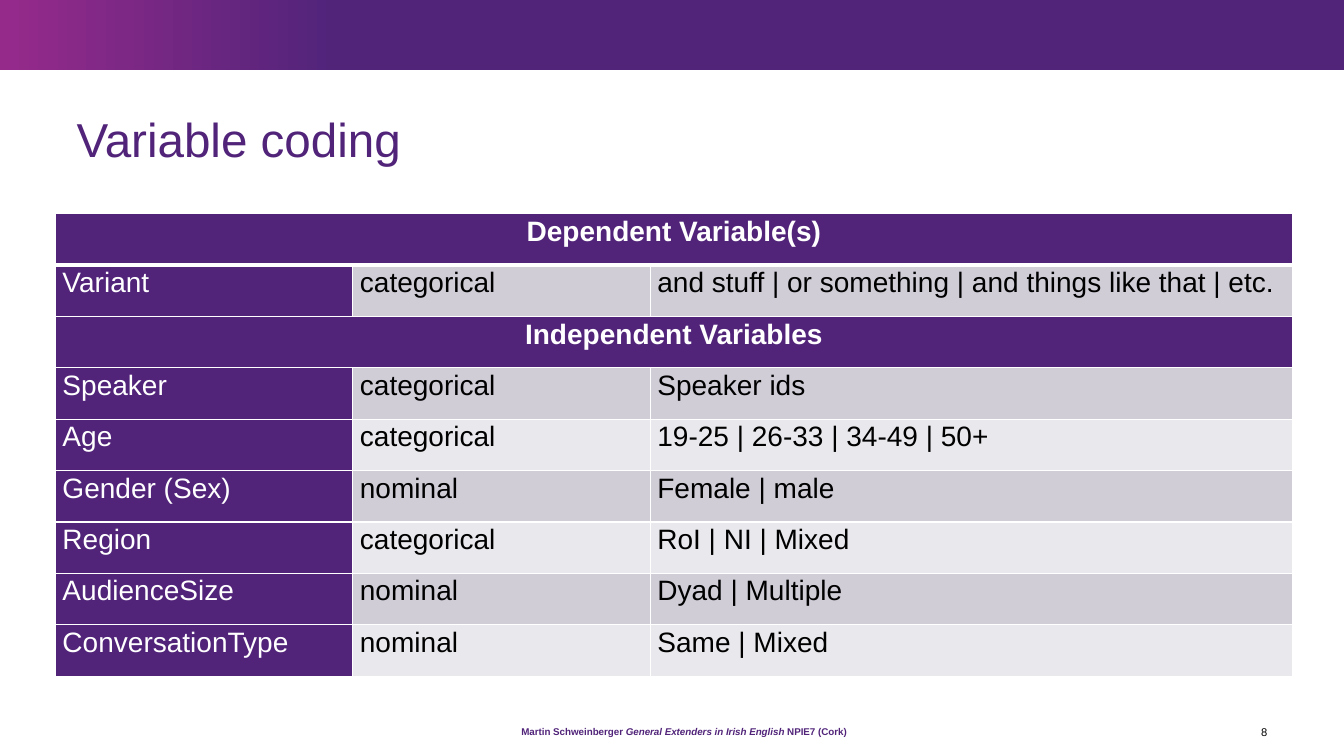
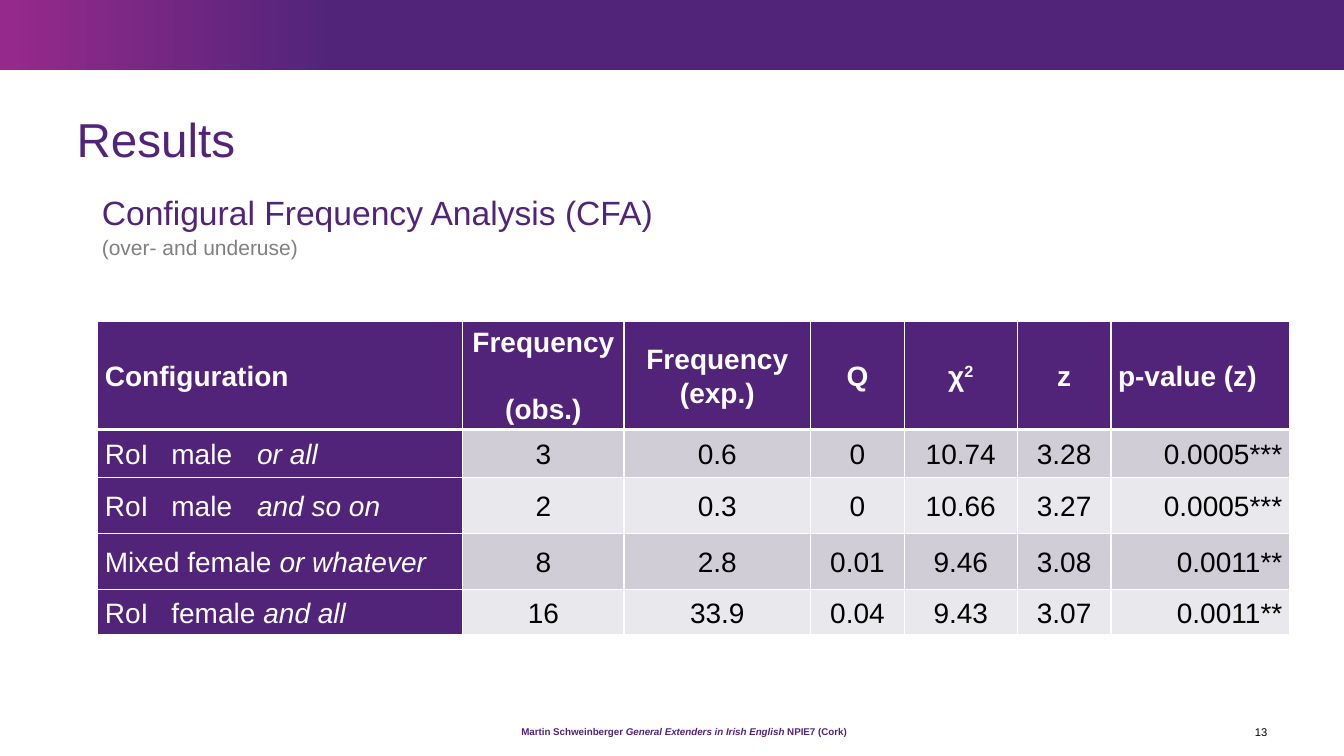
from copy import deepcopy
from dataclasses import dataclass

from lxml import etree
from pptx import Presentation
from pptx.dml.color import RGBColor
from pptx.enum.shapes import MSO_SHAPE
from pptx.enum.text import MSO_ANCHOR, PP_ALIGN
from pptx.oxml.ns import qn
from pptx.util import Inches, Pt

RECTANGLE = MSO_SHAPE.RECTANGLE
TOP, MIDDLE = MSO_ANCHOR.TOP, MSO_ANCHOR.MIDDLE
LEFT, CENTER, RIGHT = PP_ALIGN.LEFT, PP_ALIGN.CENTER, PP_ALIGN.RIGHT


@dataclass(frozen=True)
class Theme:
    font: str = "Arial"
    purple: str = "51247A"
    magenta: str = "962A8B"
    gray: str = "808080"
    black: str = "000000"
    white: str = "FFFFFF"
    bands: tuple = ("E9E8EC", "D0CDD7")
    title: int = 34
    subtitle: int = 24
    table: int = 20
    remark: int = 15
    number: int = 8
    footer: int = 7
    thin: int = 1
    thick: int = 3


THEME = Theme()
SLIDE_WIDTH, SLIDE_HEIGHT = 13.33, 7.5
CELL_MARGIN = 0.07

FOOTER = [
    ("Martin Schweinberger ", {}),
    ("General Extenders in Irish English ", {"italic": True}),
    ("NPIE7 (Cork)", {}),
]

CODING = {
    "title": "Variable coding",
    "number": "8",
    "place": (0.55, 2.12),
    "columns": [2.95, 2.95, 6.37],
    "heights": [0.51] * 9,
    "aligns": [LEFT] * 3,
    "header_aligns": [CENTER] * 3,
    "anchor": TOP,
    "tabs": [],
    "rows": [
        ["Dependent Variable(s)"],
        ["Variant", "categorical", "and stuff | or something | and things like that | etc."],
        ["Independent Variables"],
        ["Speaker", "categorical", "Speaker ids"],
        ["Age", "categorical", "19-25 | 26-33 | 34-49 | 50+"],
        ["Gender (Sex)", "nominal", "Female | male"],
        ["Region", "categorical", "RoI | NI | Mixed"],
        ["AudienceSize", "nominal", "Dyad | Multiple"],
        ["ConversationType", "nominal", "Same | Mixed"],
    ],
}


def configuration(group, extender):
    return [(group, {}), (extender, {"italic": True})]


RESULTS = {
    "title": "Results",
    "number": "13",
    "place": (0.97, 3.19),
    "columns": [3.62, 1.6, 1.85, 0.93, 1.12, 0.93, 1.77],
    "heights": [0.9, 0.48, 0.55, 0.56, 0.45],
    "aligns": [LEFT] + [CENTER] * 5 + [RIGHT],
    "header_aligns": [LEFT] + [CENTER] * 5 + [LEFT],
    "anchor": MIDDLE,
    "tabs": [0.66, 1.51],
    "rows": [
        ["Configuration", "Frequency \v(obs.)", "Frequency (exp.)", "Q",
         [("χ", {}), ("2", {"baseline": "30000"})], "z", "p-value (z)"],
        [configuration("RoI\tmale\t", "or all"), "3", "0.6", "0", "10.74", "3.28", "0.0005***"],
        [configuration("RoI\tmale\t", "and so on"), "2", "0.3", "0", "10.66", "3.27", "0.0005***"],
        [configuration("Mixed female ", "or whatever"), "8", "2.8", "0.01", "9.46", "3.08", "0.0011**"],
        [configuration("RoI\tfemale ", "and all"), "16", "33.9", "0.04", "9.43", "3.07", "0.0011**"],
    ],
}

SUBTITLE = [
    ("Configural Frequency Analysis (CFA) ", {}),
    ("(over- and underuse)", {"size": THEME.remark, "color": THEME.gray}),
]


def rgb(color):
    return RGBColor.from_string(color)


def format_run(run, size, color, bold=False, italic=False, baseline=None):
    font = run.font
    font.name, font.size = THEME.font, Pt(size)
    font.bold, font.italic = bold, italic
    font.color.rgb = rgb(color)
    if baseline:
        run._r.get_or_add_rPr().set("baseline", baseline)


def write(paragraph, content, align=LEFT, spacing=None, before=0, after=0,
          indent=0, tabs=(), **style):
    paragraph.alignment = align
    paragraph.line_spacing = spacing
    paragraph.space_before, paragraph.space_after = Pt(before), Pt(after)
    properties = paragraph._p.get_or_add_pPr()
    if indent:
        properties.set("marL", str(Inches(indent)))
        properties.set("indent", "0")
    if tabs:
        stops = etree.SubElement(properties, qn("a:tabLst"))
        for stop in tabs:
            etree.SubElement(stops, qn("a:tab"), pos=str(Inches(stop)), algn="l")
    if isinstance(content, str):
        paragraph.text = content
        for run in paragraph.runs:
            format_run(run, **style)
    else:
        for words, changes in content:
            run = paragraph.add_run()
            run.text = words
            format_run(run, **{**style, **changes})
    for line_break in paragraph._p.findall(qn("a:br")):
        line_break.insert(0, deepcopy(paragraph.runs[0]._r.rPr))


def add_text(slide, place, content, anchor=MIDDLE, **style):
    frame = slide.shapes.add_textbox(*map(Inches, place)).text_frame
    frame.word_wrap = True
    frame.vertical_anchor = anchor
    frame.margin_left = frame.margin_right = frame.margin_top = frame.margin_bottom = 0
    write(frame.paragraphs[0], content, **style)


def add_band(slide):
    band = slide.shapes.add_shape(RECTANGLE, 0, 0, Inches(SLIDE_WIDTH), Inches(0.69))
    band.shadow.inherit = False
    band.line.fill.background()
    band.fill.gradient()
    band.fill.gradient_angle = 0
    for stop, color, position in zip(band.fill.gradient_stops,
                                     (THEME.magenta, THEME.purple), (0, 0.25)):
        stop.color.rgb = rgb(color)
        stop.position = position


def set_borders(cell, top, bottom):
    properties = cell._tc.get_or_add_tcPr()
    widths = {"lnL": THEME.thin, "lnR": THEME.thin, "lnT": top, "lnB": bottom}
    for side, width in widths.items():
        line = etree.SubElement(properties, qn(f"a:{side}"), w=str(Pt(width)))
        fill = etree.SubElement(line, qn("a:solidFill"))
        etree.SubElement(fill, qn("a:srgbClr"), val=THEME.white)


def add_table(slide, content):
    rows, columns, heights = content["rows"], content["columns"], content["heights"]
    table = slide.shapes.add_table(
        len(rows), len(columns), *map(Inches, content["place"]),
        Inches(sum(columns)), Inches(sum(heights))).table
    table.first_row = table.horz_banding = False
    for column, width in zip(table.columns, columns):
        column.width = Inches(width)
    for row, height in zip(table.rows, heights):
        row.height = Inches(height)

    for r, entries in enumerate(rows):
        section = len(entries) == 1
        header = r == 0 or section
        aligns = content["header_aligns" if header else "aligns"]
        for c in range(len(columns)):
            cell = table.cell(r, c)
            dark = header or c == 0
            set_borders(cell, THEME.thick if r == 1 else THEME.thin,
                        THEME.thick if r == 0 else THEME.thin)
            cell.fill.solid()
            cell.fill.fore_color.rgb = rgb(THEME.purple if dark else THEME.bands[r % 2])
            cell.margin_left = cell.margin_right = Inches(CELL_MARGIN)
            cell.margin_top = cell.margin_bottom = 0
            cell.vertical_anchor = content["anchor"]
            if c < len(entries):
                write(cell.text_frame.paragraphs[0], entries[c], align=aligns[c],
                      spacing=1.07, after=8,
                      tabs=content["tabs"] if c == 0 and not header else (),
                      size=THEME.table, bold=header,
                      color=THEME.white if dark else THEME.black)
        if section:
            table.cell(r, 0).merge(table.cell(r, len(columns) - 1))


def add_content_slide(deck, content):
    slide = deck.slides.add_slide(deck.slide_layouts[6])
    add_band(slide)
    add_text(slide, (0.76, 1.15, 11.81, 0.51), content["title"],
             spacing=0.9, size=THEME.title, color=THEME.purple)
    add_text(slide, (12.26, 7.13, 0.31, 0.26), content["number"],
             align=RIGHT, size=THEME.number, color=THEME.black)
    add_text(slide, (4.81, 7.14, 3.7, 0.26), FOOTER, align=CENTER, spacing=0.9,
             before=3, indent=0.25, size=THEME.footer, color=THEME.purple, bold=True)
    add_table(slide, content)
    return slide


def main():
    deck = Presentation()
    deck.slide_width, deck.slide_height = Inches(SLIDE_WIDTH), Inches(SLIDE_HEIGHT)
    add_content_slide(deck, CODING)
    results = add_content_slide(deck, RESULTS)
    add_text(results, (0.76, 1.86, 6.09, 1), SUBTITLE, anchor=TOP, spacing=1.1,
             before=3, indent=0.25, size=THEME.subtitle, color=THEME.purple)
    deck.save("out.pptx")


if __name__ == "__main__":
    main()
